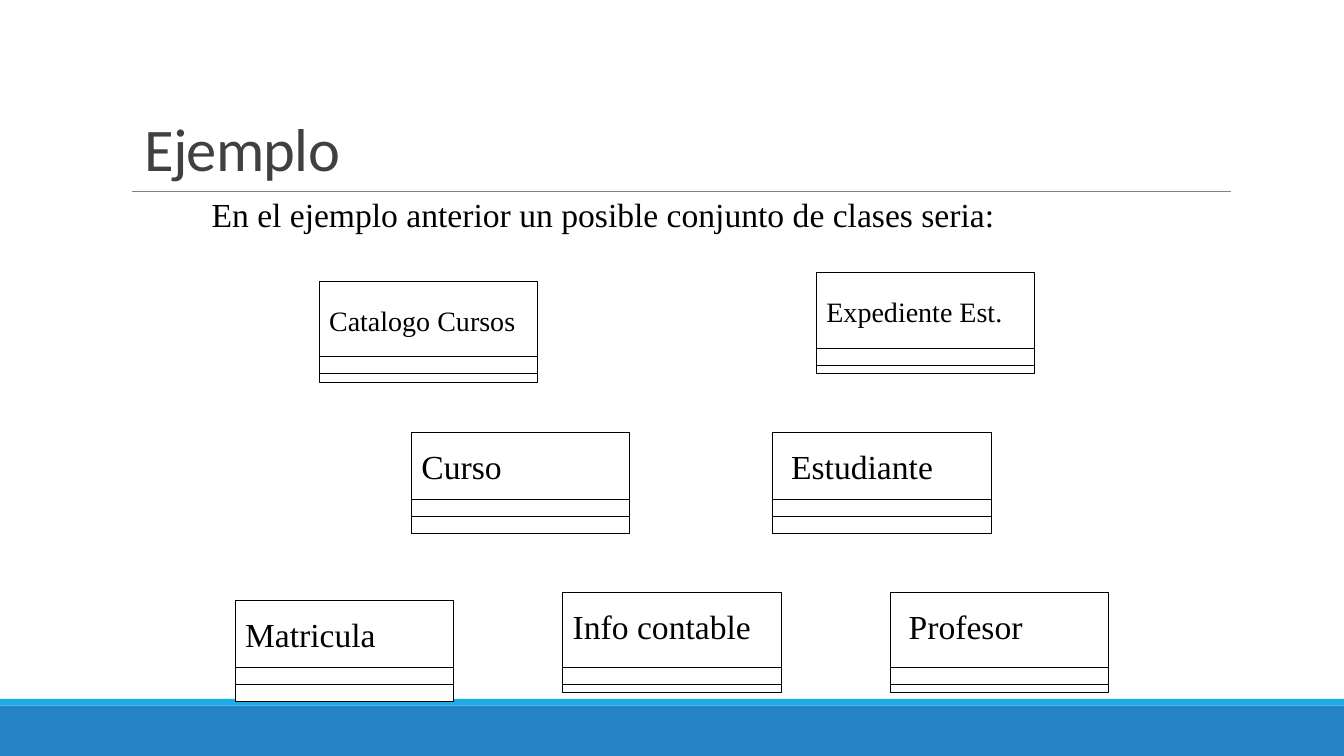
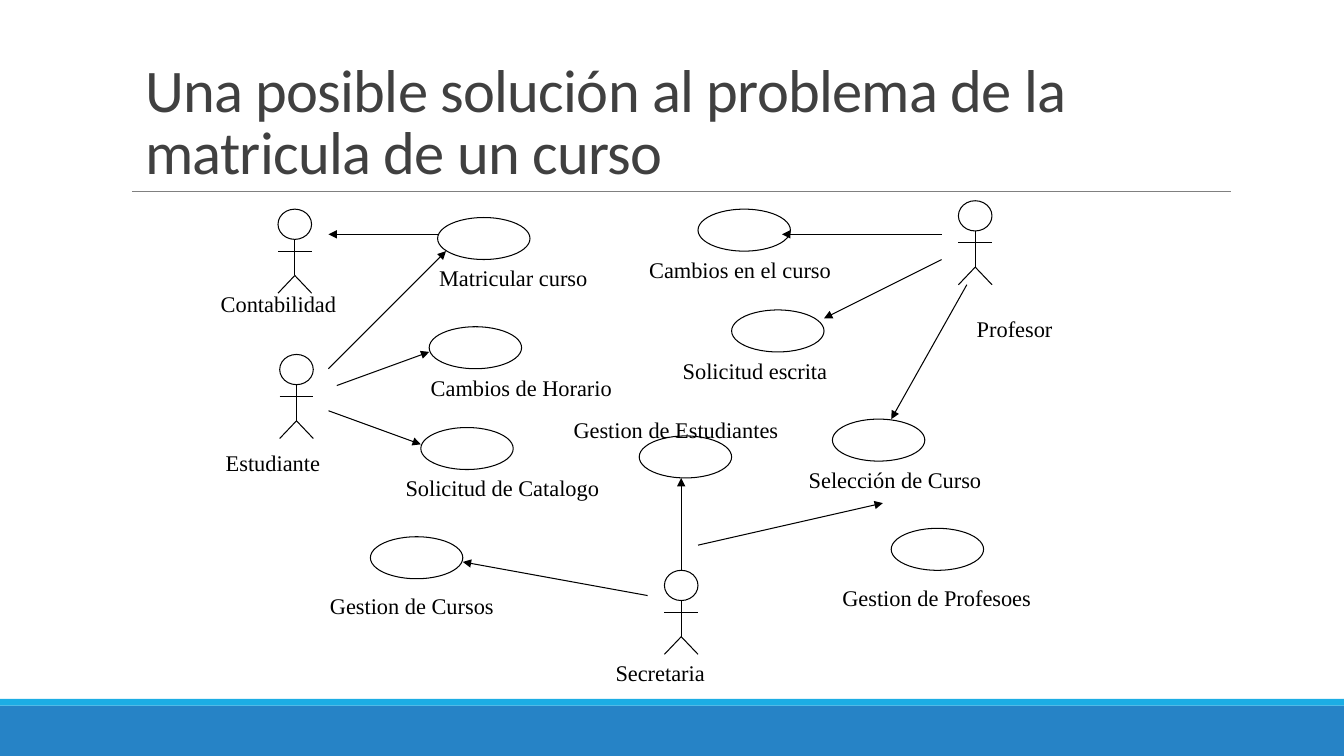
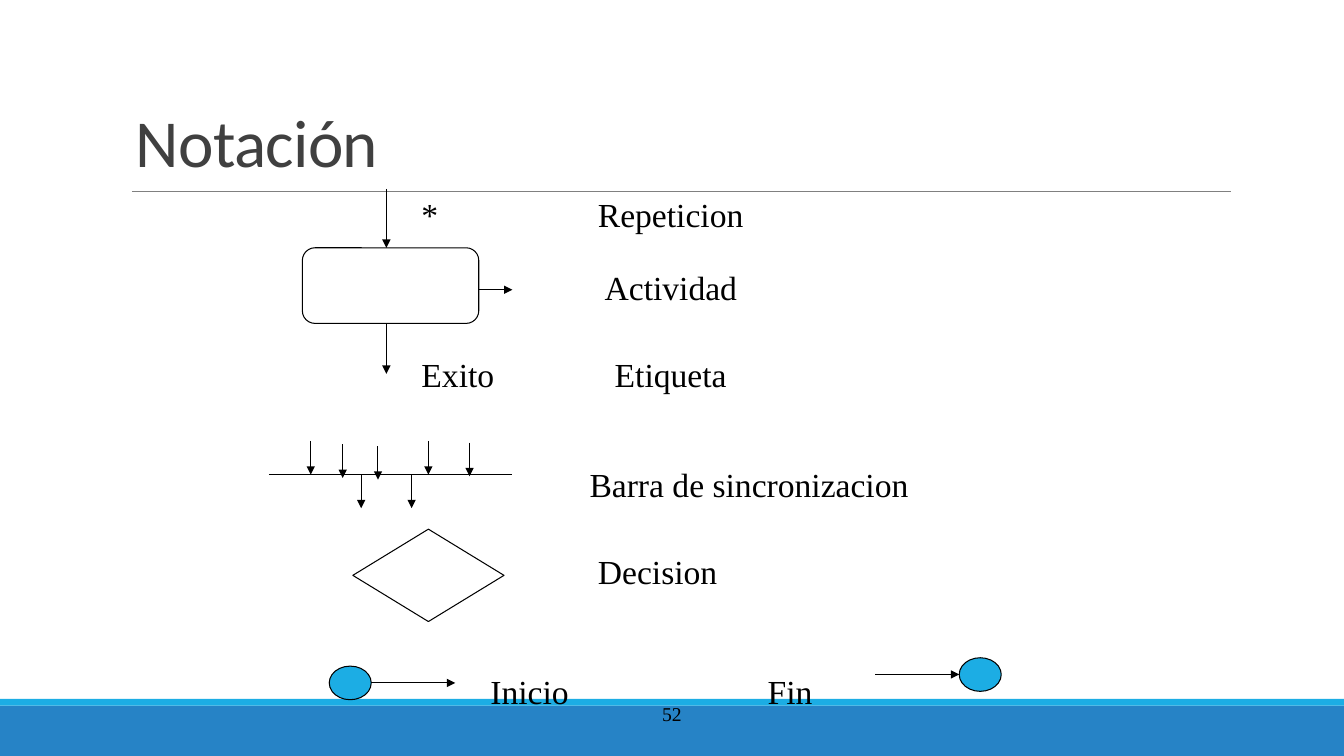
from lxml.etree import SubElement
from pptx import Presentation
from pptx.dml.color import RGBColor
from pptx.enum.shapes import MSO_CONNECTOR as CONN, MSO_SHAPE as SHAPE
from pptx.enum.text import MSO_ANCHOR as ANCHOR, PP_ALIGN as ALIGN
from pptx.oxml.ns import qn
from pptx.util import Inches, Pt

COLS, ROWS = 160, 90
BLACK, WHITE, GRAY, INK = "000000", "FFFFFF", "808080", "404040"
BLUE, CYAN = "2683C6", "1CADE4"
HEAD_FONT, BODY_FONT = "Calibri", "Times New Roman"


def rgb(value):
    return RGBColor.from_string(value)


class Deck:
    def __init__(self):
        self.prs = Presentation()
        self.prs.slide_width = Inches(13.33)
        self.prs.slide_height = Inches(7.5)
        self.dx = self.dy = 0

    def x(self, col):
        return round((col + self.dx) * self.prs.slide_width / COLS)

    def y(self, row):
        return round((row + self.dy) * self.prs.slide_height / ROWS)

    def box(self, x, y, w, h):
        left, top = self.x(x), self.y(y)
        return left, top, self.x(x + w) - left, self.y(y + h) - top

    def slide(self, title, x, y, w, h, size=43.2, dx=0, dy=0):
        self.dx = self.dy = 0
        self.s = self.prs.slides.add_slide(self.prs.slide_layouts[6])
        self.shape(SHAPE.RECTANGLE, 0, 84, COLS, 6, BLUE, None)
        self.shape(SHAPE.RECTANGLE, 0, 83.2, COLS, 0.8, CYAN, None)
        self.line(15.7, 22.8, 146.5, 22.8, GRAY, 0.5)
        p = self.text(title, x, y, w, h, size, INK, HEAD_FONT, ANCHOR.BOTTOM)
        p.line_spacing = 0.85
        p.runs[0].font._element.set("spc", "-50")
        self.dx, self.dy = dx, dy

    def shape(self, kind, x, y, w, h, fill=WHITE, line=BLACK):
        sp = self.s.shapes.add_shape(kind, *self.box(x, y, w, h))
        sp.shadow.inherit = False
        sp.fill.solid()
        sp.fill.fore_color.rgb = rgb(fill)
        if line:
            sp.line.color.rgb = rgb(line)
            sp.line.width = Pt(0.75)
        else:
            sp.line.fill.background()

    def line(self, x1, y1, x2, y2, color=BLACK, width=0.75, arrow=False):
        sp = self.s.shapes.add_connector(
            CONN.STRAIGHT, self.x(x1), self.y(y1), self.x(x2), self.y(y2))
        sp.line.color.rgb = rgb(color)
        sp.line.width = Pt(width)
        if arrow:
            ln = sp.line._get_or_add_ln()
            SubElement(ln, qn("a:tailEnd"), type="triangle")
        SubElement(sp._element.spPr, qn("a:effectLst"))

    def arrow(self, x1, y1, x2, y2):
        self.line(x1, y1, x2, y2, arrow=True)

    def text(self, text, x, y, w, h=6, size=24, color=BLACK, font=BODY_FONT,
             anchor=ANCHOR.TOP):
        tf = self.s.shapes.add_textbox(*self.box(x, y, w, h)).text_frame
        tf.word_wrap = True
        tf.vertical_anchor = anchor
        p = tf.paragraphs[0]
        r = p.add_run()
        r.text = text
        r.font.size, r.font.name = Pt(size), font
        r.font.color.rgb = rgb(color)
        return p

    def uml_class(self, name, x, y, divider, indent=0, size=24):
        self.shape(SHAPE.RECTANGLE, x, y, 26, 12)
        for row in (divider, divider + 2):
            self.line(x, y + row, x + 26, y + row)
        self.text(name, x + indent, y + (1 if size == 24 else 2), 25 - indent,
                  size=size)

    def actor(self, x, y):
        mid, hip = x + 2, y + 7.9
        self.shape(SHAPE.OVAL, x, y, 4, 3.6)
        self.line(mid, y + 3.6, mid, hip)
        self.line(x, y + 5, x + 4, y + 5)
        for foot in (x, x + 4):
            self.line(mid, hip, foot, y + 10)

    def use_case(self, x, y):
        self.shape(SHAPE.OVAL, x, y, 11, 5)


def classes_slide(d):
    d.slide("Ejemplo", 16, 13.5, 102, 9)
    d.text("En el ejemplo anterior un posible conjunto de clases seria:",
           24, 22.5, 106)
    for name, x, y, divider, indent, size in (
            ("Catalogo Cursos", 38, 33.5, 9, 0, 20),
            ("Curso", 49, 51.5, 8, 0, 24),
            ("Estudiante", 92, 51.5, 8, 1, 24),
            ("Matricula", 28, 71.5, 8, 0, 24),
            ("Info contable", 67, 70.5, 9, 0, 24),
            ("Profesor", 106, 70.5, 9, 1, 24),
            ("Expediente Est.", 97.2, 32.5, 9, 0, 20)):
        d.uml_class(name, x, y, divider, indent, size)


def use_cases_slide(d):
    d.slide("Una posible solución al problema de la matricula de un curso",
            16.1, 12.8, 130.2, 10, dx=0.1, dy=-0.1)
    for x, y in ((33, 25), (33.2, 42.3), (79, 68), (114, 24)):
        d.actor(x, y)
    for x, y in ((52, 26), (51, 39), (50, 51), (44, 64), (83, 25), (87, 37),
                 (99, 50), (76, 52), (106, 63)):
        d.use_case(x, y)
    for ends in ((52, 28, 39, 28), (39, 44, 53, 30), (40, 46, 51, 42),
                 (39, 49, 50, 53), (77, 71, 55, 67), (81, 68, 81, 57),
                 (112, 28, 93, 28), (112, 31, 98, 38), (115, 34, 106, 50),
                 (83, 65, 105, 60)):
        d.arrow(*ends)
    for label, x, y in (
            ("Contabilidad", 25, 34), ("Estudiante", 25.6, 53),
            ("Secretaria", 72, 78), ("Profesor", 115, 37),
            ("Matricular curso", 51, 31), ("Cambios de Horario", 50, 44),
            ("Solicitud de Catalogo", 47, 56), ("Gestion de Cursos", 38, 70),
            ("Gestion de Estudiantes", 67, 49),
            ("Gestion de Profesoes", 99, 69), ("Selección de Curso", 95, 55),
            ("Solicitud escrita", 80, 42), ("Cambios en el curso", 76, 30)):
        d.text(label, x, y, 27, 4.4, 16)


def notation_slide(d):
    d.slide("Notación", 15, 12.2, 102, 10, 48)
    d.text("52", 61, 82, 38, size=14, anchor=ANCHOR.MIDDLE).alignment = ALIGN.CENTER
    d.shape(SHAPE.FLOWCHART_ALTERNATE_PROCESS, 36, 29.5, 21, 9)
    d.shape(SHAPE.FLOWCHART_DECISION, 42, 63, 18, 11)
    for x, y in ((39.2, 79.3), (114.2, 78.3)):
        d.shape(SHAPE.OVAL, x, y, 5, 4, CYAN)
    for ends in ((46, 22.5, 46, 29.5), (46, 38.5, 46, 44.5),
                 (57, 34.5, 61, 34.5), (44.2, 81.3, 54.2, 81.3),
                 (104.2, 80.3, 114.2, 80.3)):
        d.arrow(*ends)
    d.line(32, 56.5, 61, 56.5)
    for x, y in ((37, 52.5), (40.8, 52.9), (45, 53.1), (51, 52.5),
                 (55.9, 52.7), (43, 56.5), (49, 56.5)):
        d.arrow(x, y, x, y + 4)
    for label, x, y, w in (
            ("*", 49, 22.5, 16), ("Repeticion", 70, 22.5, 42),
            ("Actividad", 70.8, 31.2, 30), ("Exito", 49, 41.5, 16),
            ("Etiqueta", 72, 41.5, 24),
            ("Barra de sincronizacion", 69, 54.6, 48),
            ("Decision", 70, 65, 41), ("Inicio", 57.2, 79.3, 13),
            ("Fin", 90.2, 79.3, 9)):
        d.text(label, x, y, w)


def main():
    d = Deck()
    for build in (classes_slide, use_cases_slide, notation_slide):
        build(d)
    d.prs.save("out.pptx")


if __name__ == "__main__":
    main()
